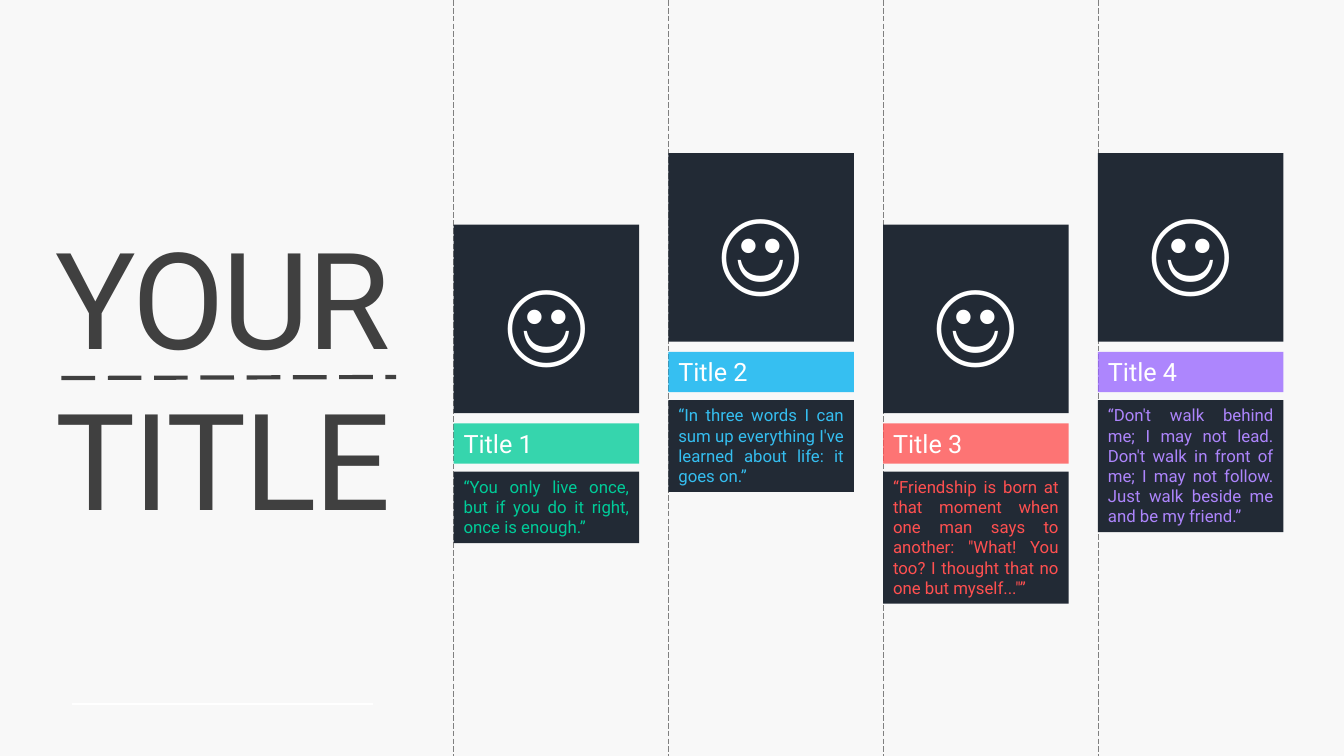
from dataclasses import dataclass

import pptx
import pptx.dml.color
import pptx.enum.dml
import pptx.enum.shapes
import pptx.enum.text
import pptx.util
from lxml import etree
from pptx.oxml.ns import qn

Inches, Pt = pptx.util.Inches, pptx.util.Pt
ALIGN = pptx.enum.text.PP_ALIGN
ANCHOR = pptx.enum.text.MSO_ANCHOR
FIT = pptx.enum.text.MSO_AUTO_SIZE

FONT = "Roboto"
DARK, WHITE, INK, GUIDE = "222A35", "FFFFFF", "404040", "808080"
SLIDE_W, SLIDE_H = 13.33, 7.5
FIRST_X, PITCH, CARD_W = 4.5, 2.13, 1.84
LOW_Y, HIGH_Y = 2.23, 1.52
ICON_H, LABEL_H = 1.87, 0.4
LABEL_DY, QUOTE_DY = 1.97, 2.45
LINE_H, QUOTE_PAD = 0.2, 0.11


@dataclass
class Card:
    title: str
    quote: str
    quote_lines: int
    label_color: str
    quote_color: str


CARDS = [
    Card("Title 1", "“You only live once, but if you do it right, once is enough.”",
         3, "00CC99", "00CC99"),
    Card("Title 2", "“In three words I can sum up everything I've learned about life: it goes on.”",
         4, "00B0F0", "35BEF0"),
    Card("Title 3", "“Friendship is born at that moment when one man says to another: "
         "\"What! You too? I thought that no one but myself...\"”",
         6, "FF5050", "FF5050"),
    Card("Title 4", "“Don't walk behind me; I may not lead. Don't walk in front of me; "
         "I may not follow. Just walk beside me and be my friend.”",
         6, "9966FF", "AD85FC"),
]


def rgb(color: str) -> pptx.dml.color.RGBColor:
    return pptx.dml.color.RGBColor.from_string(color)


def add_run(p, text: str, size: float, color: str):
    r = p.add_run()
    r.text = text
    r.font.name = FONT
    r.font.size = Pt(size)
    r.font.color.rgb = rgb(color)
    return r


def add_line(s, x1: float, y1: float, x2: float, y2: float,
             color: str, width: float, dashed: bool = True) -> None:
    line = s.shapes.add_connector(pptx.enum.shapes.MSO_CONNECTOR.STRAIGHT,
                                  Inches(x1), Inches(y1), Inches(x2), Inches(y2))
    line.line.color.rgb = rgb(color)
    line.line.width = Pt(width)
    if dashed:
        line.line.dash_style = pptx.enum.dml.MSO_LINE.LONG_DASH
    etree.SubElement(line._element.spPr, qn("a:effectLst"))


def add_block(s, x: float, y: float, h: float, fill: str, text: str, size: float, color: str,
              align=ALIGN.LEFT, anchor=ANCHOR.TOP, fit=FIT.SHAPE_TO_FIT_TEXT):
    sp = s.shapes.add_shape(pptx.enum.shapes.MSO_SHAPE.RECTANGLE,
                            Inches(x), Inches(y), Inches(CARD_W), Inches(h))
    sp.shadow.inherit = False
    sp.fill.solid()
    sp.fill.fore_color.rgb = rgb(fill)
    sp.line.fill.background()
    tf = sp.text_frame
    tf.word_wrap = True
    tf.auto_size = fit
    tf.vertical_anchor = anchor
    p = tf.paragraphs[0]
    p.alignment = align
    add_run(p, text, size, color)
    return sp


def set_opacity(sp, percent: int) -> None:
    color = sp._element.spPr.find(qn("a:solidFill"))[0]
    etree.SubElement(color, qn("a:alpha"), val=str(percent * 1000))


def add_card(s, card: Card, x: float, y: float) -> None:
    label = add_block(s, x, y + LABEL_DY, LABEL_H, card.label_color, card.title, 18, WHITE)
    set_opacity(label, 78)
    add_block(s, x, y + QUOTE_DY, QUOTE_PAD + LINE_H * card.quote_lines, DARK,
              card.quote, 12, card.quote_color, align=ALIGN.JUSTIFY)
    add_block(s, x, y, ICON_H, DARK, "☺", 66, WHITE,
              align=ALIGN.CENTER, anchor=ANCHOR.MIDDLE, fit=FIT.NONE)


def fill_title(s) -> None:
    sp = s.shapes.title
    sp.left, sp.top, sp.width, sp.height = (Inches(v) for v in (0.45, 2.08, 3.65, 3.33))
    tf = sp.text_frame
    tf.word_wrap = True
    tf.auto_size = FIT.SHAPE_TO_FIT_TEXT
    tf.vertical_anchor = ANCHOR.TOP
    for i, word in enumerate(("YOUR", "TITLE")):
        p = tf.add_paragraph() if i else tf.paragraphs[0]
        p.alignment = ALIGN.LEFT
        p.line_spacing = 1.0
        p.space_before = Pt(0)
        r = add_run(p, word, 96, INK)
        r.font._element.set("spc", "-150")


def main() -> None:
    prs = pptx.Presentation()
    prs.slide_width, prs.slide_height = Inches(SLIDE_W), Inches(SLIDE_H)
    s = prs.slides.add_slide(prs.slide_layouts[5])
    s.background.fill.solid()
    s.background.fill.fore_color.rgb = rgb("F8F8F8")

    fill_title(s)
    columns = [FIRST_X + i * PITCH for i in range(len(CARDS))]
    for x in columns:
        add_line(s, x, 0, x, SLIDE_H, GUIDE, 0.5)
    for i, (card, x) in enumerate(zip(CARDS, columns)):
        add_card(s, card, x, HIGH_Y if i % 2 else LOW_Y)
    add_line(s, 0.71, 6.98, 3.7, 6.98, WHITE, 1.5, dashed=False)
    add_line(s, 0.61, 3.75, 3.93, 3.74, INK, 3)
    prs.save("out.pptx")


if __name__ == "__main__":
    main()
